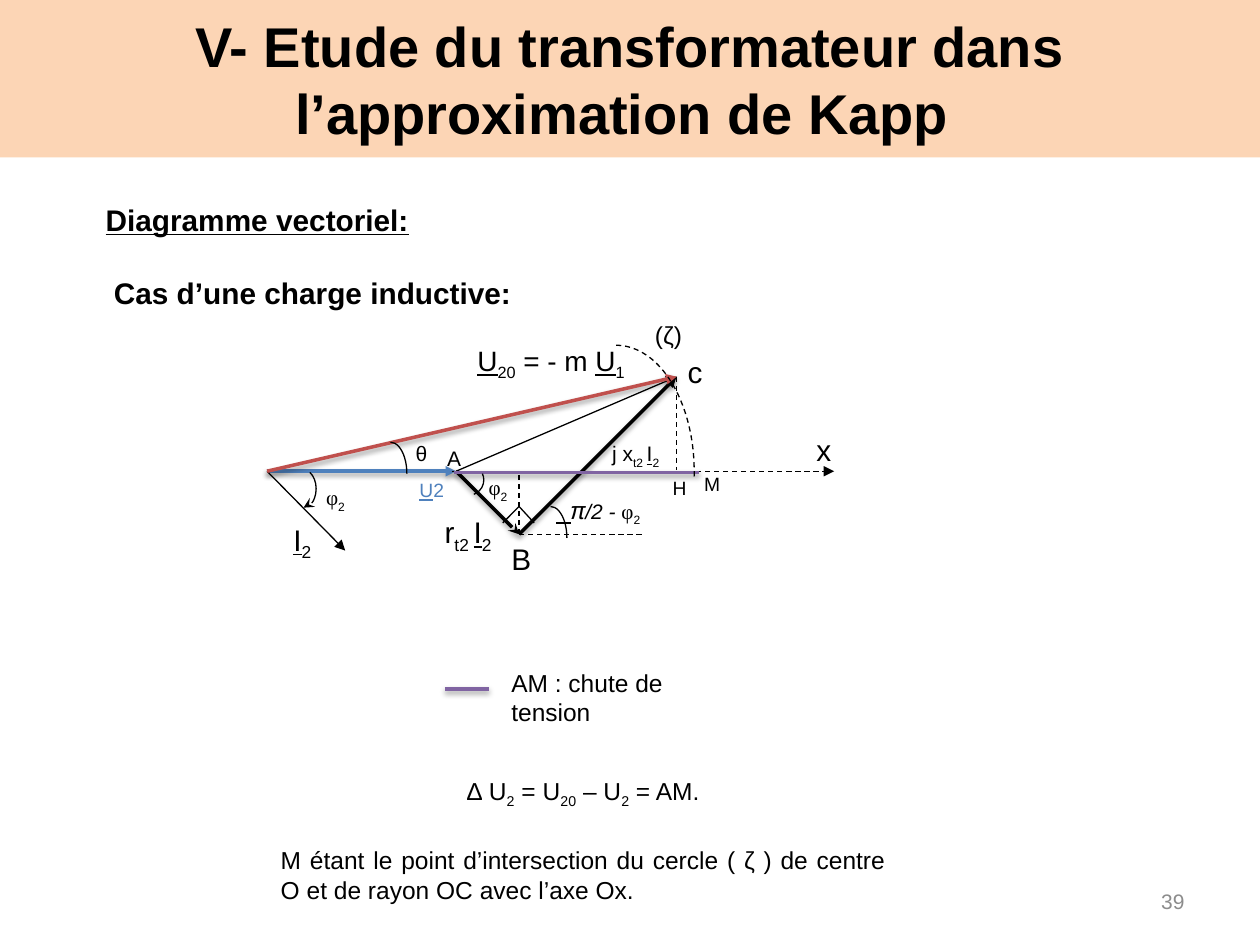
from lxml.etree import SubElement
from pptx import Presentation
from pptx.dml.color import RGBColor
from pptx.enum.dml import MSO_LINE
from pptx.enum.shapes import MSO_CONNECTOR, MSO_SHAPE
from pptx.enum.text import MSO_ANCHOR, PP_ALIGN
from pptx.oxml.ns import qn
from pptx.util import Inches, Pt

BLACK = RGBColor(0x00, 0x00, 0x00)
PEACH = RGBColor(0xFC, 0xD5, 0xB5)
BLUE = RGBColor(0x4F, 0x81, 0xBD)
RED = RGBColor(0xC0, 0x50, 0x4D)
PURPLE = RGBColor(0x80, 0x64, 0xA2)
GRAY = RGBColor(0x8C, 0x8C, 0x8C)

O, A, B, C = (2.12, 3.74), (3.62, 3.74), (4.12, 4.24), (5.37, 2.99)

PLAIN = {}
SUB = {"baseline": "-25000"}
UNDER = {"underline": True}
GREEK = {"name": "Times New Roman"}
PHI = [("φ", GREEK), ("2", SUB)]
CURRENT = [("I", UNDER), ("2", SUB)]

VECTOR = {"width": 2, "shadow": True, "tail": "triangle"}
DASHED = {"dash": MSO_LINE.DASH}
ARROW = {"tail": "triangle"}

LINES = [
    (O, A, {**VECTOR, "color": BLUE}),
    ((3.59, 3.74), (6.62, 3.74), {**DASHED, **ARROW}),
    (A, C, ARROW),
    (A, B, {**VECTOR, "tail": "stealth"}),
    (B, (5.12, 4.24), DASHED),
    (B, C, VECTOR),
    (C, (5.37, 3.73), DASHED),
    (O, (2.74, 4.37), ARROW),
    (O, C, {**VECTOR, "color": RED}),
    ((4.12, 3.77), (4.12, 4.27), DASHED),
    ((4.24, 4.15), (4.12, 4.02), PLAIN),
    ((4.12, 4.02), (3.99, 4.15), PLAIN),
    ((4.53, 4.15), (4.41, 4.15), PLAIN),
    ((3.6, 3.75), (5.55, 3.75), {**VECTOR, "color": PURPLE, "tail": None}),
    ((3.53, 5.47), (3.88, 5.47), {**VECTOR, "color": PURPLE, "tail": None}),
]

ARCS = [
    ((4.89, 3.74), (0.62, 1), (270, 4), DASHED),
    ((3.1, 3.76), (0.13, 0.25), (270, 0), PLAIN),
    ((4.37, 4.27), (0.13, 0.25), (270, 0), PLAIN),
    ((2.41, 3.88), (0.1, 0.15), (291, 90), {"tail": "stealth"}),
    ((3.72, 3.81), (0.12, 0.12), (335, 70), PLAIN),
]

LABELS = [
    ((5.1, 2.49, 0.5, 0.37), 14, [("(ζ)", PLAIN)]),
    ((3.69, 2.68, 1.52, 0.37), 16,
     [("U", UNDER), ("20", SUB), (" = - m ", PLAIN), ("U", UNDER), ("1", SUB)]),
    ((2.23, 4.09, 0.5, 0.37), 17, CURRENT),
    ((3.43, 4.03, 0.61, 0.45), 17, [("r", PLAIN), ("t2 ", SUB), *CURRENT]),
    ((2.49, 3.8, 0.5, 0.37), 12, PHI),
    ((3.78, 3.72, 0.5, 0.37), 12, PHI),
    ((4.43, 3.88, 0.76, 0.37), 12,
     [("π", {"name": "Courier New", "size": Pt(14), "italic": True}),
      ("/2 - ", {"italic": True}), *PHI]),
    ((3.2, 3.45, 0.37, 0.32), 12, [("θ", PLAIN)]),
    ((5.24, 3.73, 0.5, 0.37), 11, [("H", PLAIN)]),
    ((5.49, 3.7, 0.5, 0.37), 11, [("M", PLAIN)]),
    ((4.76, 3.45, 0.75, 0.37), 12, [("j x", PLAIN), ("t2 ", SUB), *CURRENT]),
    ((3.45, 3.49, 0.29, 0.3), 12, [("A", PLAIN)]),
    ((5.36, 2.76, 0.32, 0.39), 17, [("c", PLAIN)]),
    ((3.96, 4.24, 0.36, 0.39), 17, [("B", PLAIN)]),
    ((6.38, 3.38, 0.32, 0.39), 17, [("x", PLAIN)]),
    ((3.96, 5.25, 1.5, 0.57), 14, [("AM : chute de tension", PLAIN)]),
]


def inches(values):
    return [Inches(value) for value in values]


def add_span(para, text, size, color, values):
    span = para.add_run()
    span.text = text
    span.font.color.rgb = color
    for name, value in {"name": "Arial", "size": Pt(size), **values}.items():
        if name == "baseline":
            span._r.get_or_add_rPr().set(name, value)
        else:
            setattr(span.font, name, value)


def add_text(page, area, size, paragraphs, color=BLACK, aligns=(PP_ALIGN.LEFT,), gap=0):
    box = page.shapes.add_textbox(*inches(area))
    frame = box.text_frame
    frame.word_wrap = True
    for index, spans in enumerate(paragraphs):
        para = frame.add_paragraph() if index else frame.paragraphs[0]
        para.alignment = aligns[index % len(aligns)]
        para.space_before = Pt(gap if index else 0)
        for text, values in spans:
            add_span(para, text, size, color, values)
    return box


def style_line(shape, width=0.75, color=BLACK, dash=None, tail=None, shadow=False):
    shape.line.color.rgb = color
    shape.line.width = Pt(width)
    if dash:
        shape.line.dash_style = dash
    properties = shape._element.spPr
    if tail:
        SubElement(properties.find(qn("a:ln")), qn("a:tailEnd"), type=tail)
    effects = SubElement(properties, qn("a:effectLst"))
    if shadow:
        outer = SubElement(effects, qn("a:outerShdw"), blurRad=str(Pt(3.1)),
                           dist=str(Pt(1.6)), dir="5400000", rotWithShape="0")
        shade = SubElement(outer, qn("a:srgbClr"), val="000000")
        SubElement(shade, qn("a:alpha"), val="38000")


def add_line(page, start, end, style):
    line = page.shapes.add_connector(MSO_CONNECTOR.STRAIGHT, *inches(start + end))
    style_line(line, **style)


def add_arc(page, center, radii, angles, style):
    (x, y), (across, down) = center, radii
    area = (x - across, y - down, 2 * across, 2 * down)
    arc = page.shapes.add_shape(MSO_SHAPE.ARC, *inches(area))
    for index, angle in enumerate(angles):
        arc.adjustments[index] = angle * 0.6
    arc.fill.background()
    style_line(arc, **style)


def add_title(page):
    title = page.shapes.title
    area = {"left": 0, "top": 0, "width": 10, "height": 1.25}
    for name, value in area.items():
        setattr(title, name, Inches(value))
    title.fill.solid()
    title.fill.fore_color.rgb = PEACH
    title.text_frame.vertical_anchor = MSO_ANCHOR.MIDDLE
    para = title.text_frame.paragraphs[0]
    para.alignment = PP_ALIGN.CENTER
    add_span(para, "V- Etude du transformateur dans", 32, BLACK, {"bold": True})
    para.add_line_break()
    add_span(para, "l’approximation de Kapp ", 32, BLACK, {"bold": True})


def main():
    deck = Presentation()
    deck.slide_width, deck.slide_height = Inches(10), Inches(7.5)
    page = deck.slides.add_slide(deck.slide_layouts[5])
    add_title(page)
    add_text(page, (0.74, 1.55, 9, 1.02), 17,
             [[("Diagramme vectoriel:", {"bold": True, **UNDER})],
              [(" Cas d’une charge inductive:", {"bold": True})]], gap=21.5)
    for line in LINES:
        add_line(page, *line)
    for arc in ARCS:
        add_arc(page, *arc)
    for area, size, spans in LABELS:
        add_text(page, area, size, [spans])
    add_text(page, (3.23, 3.75, 0.5, 0.37), 11, [[("U", UNDER), ("2", PLAIN)]], BLUE)
    drop = [("∆ U", PLAIN), ("2", SUB), (" = U", PLAIN), ("20", SUB),
            (" – U", PLAIN), ("2", SUB), (" = AM.", PLAIN)]
    circle = [("M étant le point d’intersection du cercle ( ζ ) de centre O "
               "et de rayon OC avec l’axe Ox.", PLAIN)]
    add_text(page, (2.13, 6.11, 5, 1.28), 14, [drop, circle],
             aligns=(PP_ALIGN.CENTER, PP_ALIGN.JUSTIFY), gap=20.5)
    number = add_text(page, (7.17, 6.95, 2.33, 0.4), 12, [[("39", PLAIN)]],
                      GRAY, (PP_ALIGN.RIGHT,))
    number.text_frame.vertical_anchor = MSO_ANCHOR.MIDDLE
    deck.save("out.pptx")


if __name__ == "__main__":
    main()
